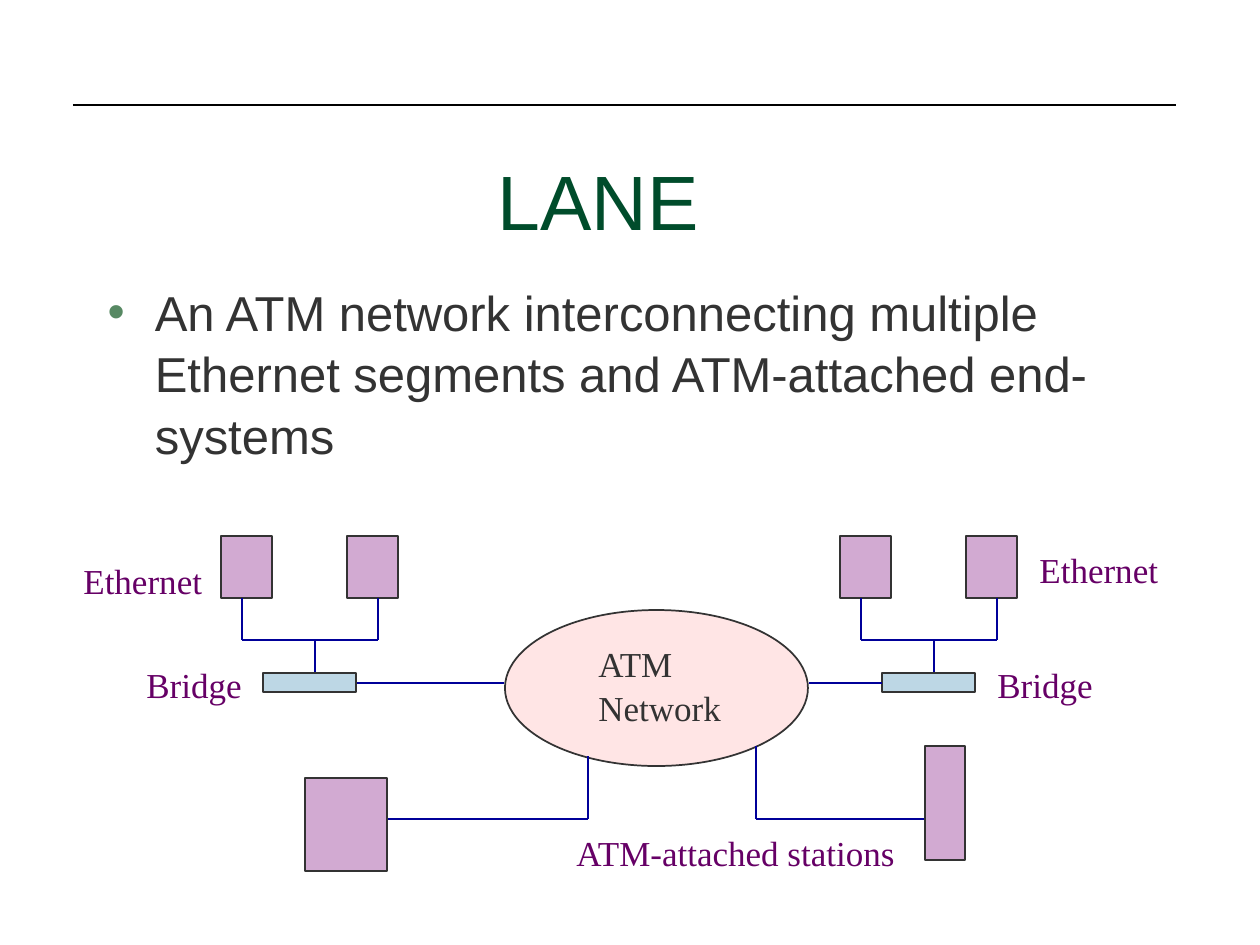
from pptx import Presentation
from pptx import util as u
from pptx.dml.color import RGBColor
from pptx.enum import shapes, text
from pptx.oxml.ns import qn
from lxml import etree

PX = 914400 / 126


def color(value):
    return RGBColor.from_string(value)


def px(*values):
    return [u.Emu(round(v * PX)) for v in values]


prs = Presentation()
prs.slide_width, prs.slide_height = px(1260, 945)
s = prs.slides.add_slide(prs.slide_layouts[1])

title, body = s.placeholders[0], s.placeholders[1]
title.left, title.top, title.width, title.height = px(63, 168, 1071, 84)
body.left, body.top, body.width, body.height = px(95, 273, 1071, 567)

title.text_frame.text = "LANE"
title.text_frame.vertical_anchor = text.MSO_ANCHOR.BOTTOM
title.text_frame.paragraphs[0].alignment = text.PP_ALIGN.CENTER
body.text_frame.text = (
    "An ATM network interconnecting multiple Ethernet segments "
    "and ATM-attached end-systems"
)
p = body.text_frame.paragraphs[0]
p.space_before = u.Pt(0)
p.line_spacing = 1.05
pPr = p._p.get_or_add_pPr()
pPr.set("marL", "342900")
pPr.set("indent", "-342900")
buClr = etree.SubElement(pPr, qn("a:buClr"))
etree.SubElement(buClr, qn("a:srgbClr"), val="578963")
etree.SubElement(pPr, qn("a:buChar"), char="•")

for sp, size, ink in [(title, 44, "004C2B"), (body, 28, "333333")]:
    sp.text_frame.auto_size = text.MSO_AUTO_SIZE.NONE
    font = sp.text_frame.paragraphs[0].runs[0].font
    font.name, font.size, font.color.rgb = "Arial", u.Pt(size), color(ink)

boxes = [
    ("OVAL", 505, 610, 303, 156, "FFCCCC"),
    ("RECTANGLE", 305, 778, 82, 93, "D2AAD2"),
    ("RECTANGLE", 925, 746, 40, 114, "D2AAD2"),
]
lines = [
    (73, 105, 1176, 105, "000000", 0.75),
    (357, 683, 504, 683, "000099", 1),
    (882, 683, 809, 683, "000099", 1),
    (388, 819, 588, 819, "000099", 1),
    (588, 819, 588, 756, "000099", 1),
    (756, 746, 756, 819, "000099", 1),
    (756, 819, 924, 819, "000099", 1),
]
for x in (221, 840):
    boxes += [
        ("RECTANGLE", x, 536, 51, 62, "D2AAD2"),
        ("RECTANGLE", x + 126, 536, 51, 62, "D2AAD2"),
        ("RECTANGLE", x + 42, 673, 93, 19, "BDD7E5"),
    ]
    lines += [
        (x + 21, 598, x + 21, 640, "000099", 1),
        (x + 21, 640, x + 157, 640, "000099", 1),
        (x + 157, 640, x + 157, 598, "000099", 1),
        (x + 94, 640, x + 94, 672, "000099", 1),
    ]

for kind, x, y, w, h, fill in boxes:
    sp = s.shapes.add_shape(shapes.MSO_SHAPE[kind], *px(x, y, w, h))
    sp.shadow.inherit = False
    sp.fill.solid()
    sp.fill.fore_color.rgb = color(fill)
    sp.line.color.rgb = color("333333")
    sp.line.width = u.Pt(1)
    if kind == "OVAL":
        srgb = sp._element.spPr.find(qn("a:solidFill")).find(qn("a:srgbClr"))
        etree.SubElement(srgb, qn("a:alpha"), val="50000")

for x1, y1, x2, y2, ink, width in lines:
    line = s.shapes.add_connector(shapes.MSO_CONNECTOR.STRAIGHT, *px(x1, y1, x2, y2))
    line.line.color.rgb = color(ink)
    line.line.width = u.Pt(width)
    etree.SubElement(line._element.spPr, qn("a:effectLst"))

labels = [
    ("ATM\nNetwork", 586, 634, 149, 97, "333333"),
    ("Ethernet", 71, 551, 145, 54, "660066"),
    ("Ethernet", 1027, 540, 145, 54, "660066"),
    ("Bridge", 134, 655, 121, 54, "660066"),
    ("Bridge", 985, 655, 121, 54, "660066"),
    ("ATM-attached stations", 564, 823, 348, 54, "660066"),
]
for words, x, y, w, h, ink in labels:
    tf = s.shapes.add_textbox(*px(x, y, w, h)).text_frame
    tf.word_wrap = False
    tf.text = words
    for p in tf.paragraphs:
        p.line_spacing = 1.05
        font = p.runs[0].font
        font.name, font.size = "Times New Roman", u.Pt(20)
        font.color.rgb = color(ink)

prs.save("out.pptx")
